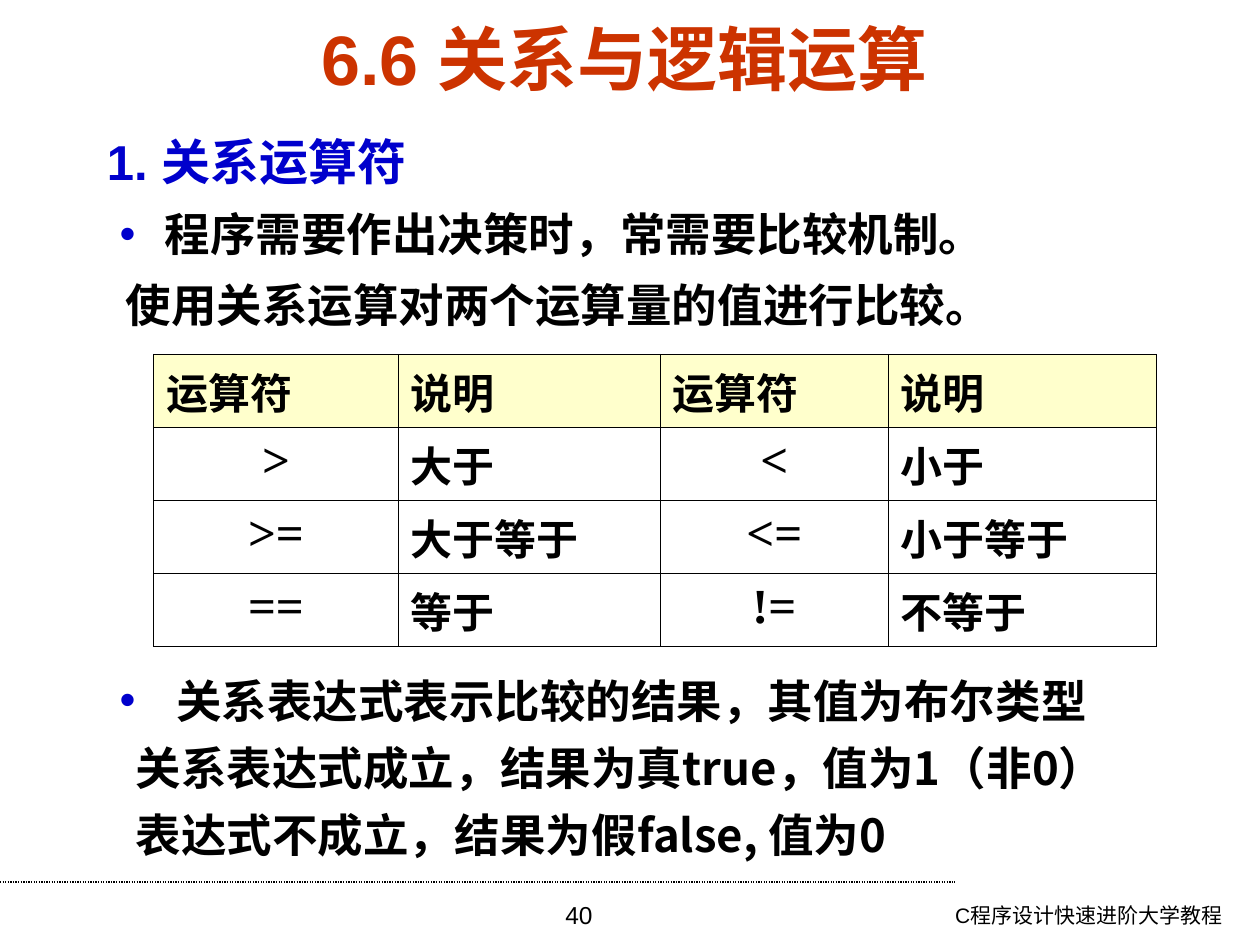
from lxml import etree
from pptx import Presentation
from pptx.dml.color import RGBColor
from pptx.enum.dml import MSO_LINE
from pptx.enum.shapes import MSO_CONNECTOR
from pptx.enum.text import MSO_ANCHOR, PP_ALIGN
from pptx.oxml.ns import qn
from pptx.util import Inches, Pt

LEFT, CENTER, RIGHT, JUSTIFY = PP_ALIGN.LEFT, PP_ALIGN.CENTER, PP_ALIGN.RIGHT, PP_ALIGN.JUSTIFY
MIDDLE, TOP = MSO_ANCHOR.MIDDLE, MSO_ANCHOR.TOP
STRAIGHT, DOTTED = MSO_CONNECTOR.STRAIGHT, MSO_LINE.ROUND_DOT
SANS, SERIF, CJK = "Arial", "Times New Roman", "Noto Sans CJK SC"
BLACK, BLUE, RED, CREAM = "000000", "0000CC", "CC3300", "FFFFCC"

STATEMENTS = [
    ("1. 关系运算符", dict(size=28, name=SANS, color=BLUE),
     dict(alignment=JUSTIFY, line_spacing=Pt(40)), 0, None),
    ("程序需要作出决策时，常需要比较机制。", {},
     dict(alignment=JUSTIFY, line_spacing=Pt(34), space_before=Pt(6)), 0.46, -0.36),
    ("使用关系运算对两个运算量的值进行比较。", {},
     dict(alignment=JUSTIFY, line_spacing=Pt(34), space_before=Pt(6.5)), 0.15, None),
    ("关系表达式表示比较的结果，其值为布尔类型", {},
     dict(alignment=JUSTIFY, line_spacing=Pt(34), space_before=Pt(192)), 0.55, -0.45),
    ("关系表达式成立，结果为真true，值为1（非0）", {},
     dict(alignment=LEFT, line_spacing=Pt(32), space_before=Pt(6.5)), 0.23, None),
    ("表达式不成立，结果为假false, 值为0", {},
     dict(alignment=LEFT, line_spacing=Pt(32), space_before=Pt(6.5)), 0.23, None),
]
OPERATORS = [
    ("运算符", "说明", "运算符", "说明"),
    (">", "大于", "<", "小于"),
    (">=", "大于等于", "<=", "小于等于"),
    ("==", "等于", "!=", "不等于"),
]
COLUMN_WIDTHS = (1.94, 2.08, 1.81, 2.13)
ROW_HEIGHT = 0.58


def rgb(hex_color):
    """Turn a hex string into a colour."""
    return RGBColor.from_string(hex_color)


def apply_format(target, values):
    """Set every attribute named in values on target."""
    for attribute, value in values.items():
        setattr(target, attribute, value)


def write(paragraph, text, size, name=SANS, color=BLACK, bold=False):
    """Add text to a paragraph in the given font."""
    run = paragraph.add_run()
    run.text = text
    apply_format(run.font, dict(size=Pt(size), name=name, bold=bold))
    run.font.color.rgb = rgb(color)
    east_asian = etree.SubElement(run.font._element, qn("a:ea"))
    east_asian.set("typeface", CJK)


def text_frame(slide, box, anchor=TOP):
    """Add a wrapping text box and return its frame."""
    frame = slide.shapes.add_textbox(*map(Inches, box)).text_frame
    apply_format(frame, dict(word_wrap=True, vertical_anchor=anchor))
    return frame


def add_label(slide, box, text, alignment, anchor=TOP, **font):
    """Place a single line of text."""
    paragraph = text_frame(slide, box, anchor).paragraphs[0]
    paragraph.alignment = alignment
    write(paragraph, text, **font)


def set_indent(paragraph, margin, hanging):
    """Set the left margin, with a blue bullet where a hanging indent is given."""
    properties = paragraph._p.get_or_add_pPr()
    properties.set("marL", str(Inches(margin)))
    properties.set("indent", str(Inches(hanging or 0)))
    if hanging is None:
        etree.SubElement(properties, qn("a:buNone"))
        return
    bullet_color = etree.SubElement(properties, qn("a:buClr"))
    etree.SubElement(bullet_color, qn("a:srgbClr")).set("val", BLUE)
    etree.SubElement(properties, qn("a:buFont")).set("typeface", SANS)
    etree.SubElement(properties, qn("a:buChar")).set("char", "•")


def add_statements(slide, box):
    """Place the heading and statements, leaving room for the table."""
    frame = text_frame(slide, box)
    for index, (text, font, layout, margin, hanging) in enumerate(STATEMENTS):
        paragraph = frame.add_paragraph() if index else frame.paragraphs[0]
        apply_format(paragraph, layout)
        set_indent(paragraph, margin, hanging)
        write(paragraph, text, **{**dict(size=26, name=CJK, bold=True), **font})


def add_borders(cell):
    """Draw a thin black line on each side of a cell."""
    properties = cell._tc.get_or_add_tcPr()
    for side in ("lnL", "lnR", "lnT", "lnB"):
        border = etree.SubElement(properties, qn(f"a:{side}"), w=str(Pt(0.34)))
        fill = etree.SubElement(border, qn("a:solidFill"))
        etree.SubElement(fill, qn("a:srgbClr")).set("val", BLACK)


def add_operator_table(slide, left, top):
    """Place the table of relational operators."""
    size = (sum(COLUMN_WIDTHS), ROW_HEIGHT * len(OPERATORS))
    table = slide.shapes.add_table(len(OPERATORS), len(COLUMN_WIDTHS),
                                   *map(Inches, (left, top, *size))).table
    apply_format(table, dict(first_row=False, horz_banding=False))
    for column, width in zip(table.columns, COLUMN_WIDTHS):
        column.width = Inches(width)
    for row, texts in enumerate(OPERATORS):
        for column, text in enumerate(texts):
            cell = table.cell(row, column)
            is_operator = row > 0 and column % 2 == 0
            add_borders(cell)
            if row:
                cell.fill.background()
            else:
                cell.fill.solid()
                cell.fill.fore_color.rgb = rgb(CREAM)
            paragraph = cell.text_frame.paragraphs[0]
            paragraph.alignment = CENTER if is_operator else LEFT
            write(paragraph, text, 28 if is_operator else 24, SERIF, bold=True)


def add_footer(slide, top, width):
    """Place the rule, page number and course name."""
    rule = slide.shapes.add_connector(STRAIGHT, 0, Inches(top), Inches(width), Inches(top))
    apply_format(rule.line, dict(width=Pt(0.75), dash_style=DOTTED))
    rule.line.color.rgb = rgb(BLACK)
    etree.SubElement(rule._element.spPr, qn("a:effectLst"))
    add_label(slide, (6.57, top + 0.11, 3.23, 0.39), "C程序设计快速进阶大学教程", RIGHT, size=12)
    add_label(slide, (3.43, top + 0.09, 2.33, 0.41), "40", CENTER, size=14)


def main():
    """Build the slide on relational operators."""
    deck = Presentation()
    apply_format(deck, dict(slide_width=Inches(10), slide_height=Inches(7.5)))
    slide = deck.slides.add_slide(deck.slide_layouts[6])
    add_footer(slide, 7, 7.58)
    add_label(slide, (0.43, 0.21, 9.05, 0.5), "6.6 关系与逻辑运算", CENTER, MIDDLE,
              size=40, color=RED, bold=True)
    add_statements(slide, (0.75, 0.91, 8.82, 6.06))
    add_operator_table(slide, 1.22, 2.81)
    deck.save("out.pptx")


if __name__ == "__main__":
    main()
